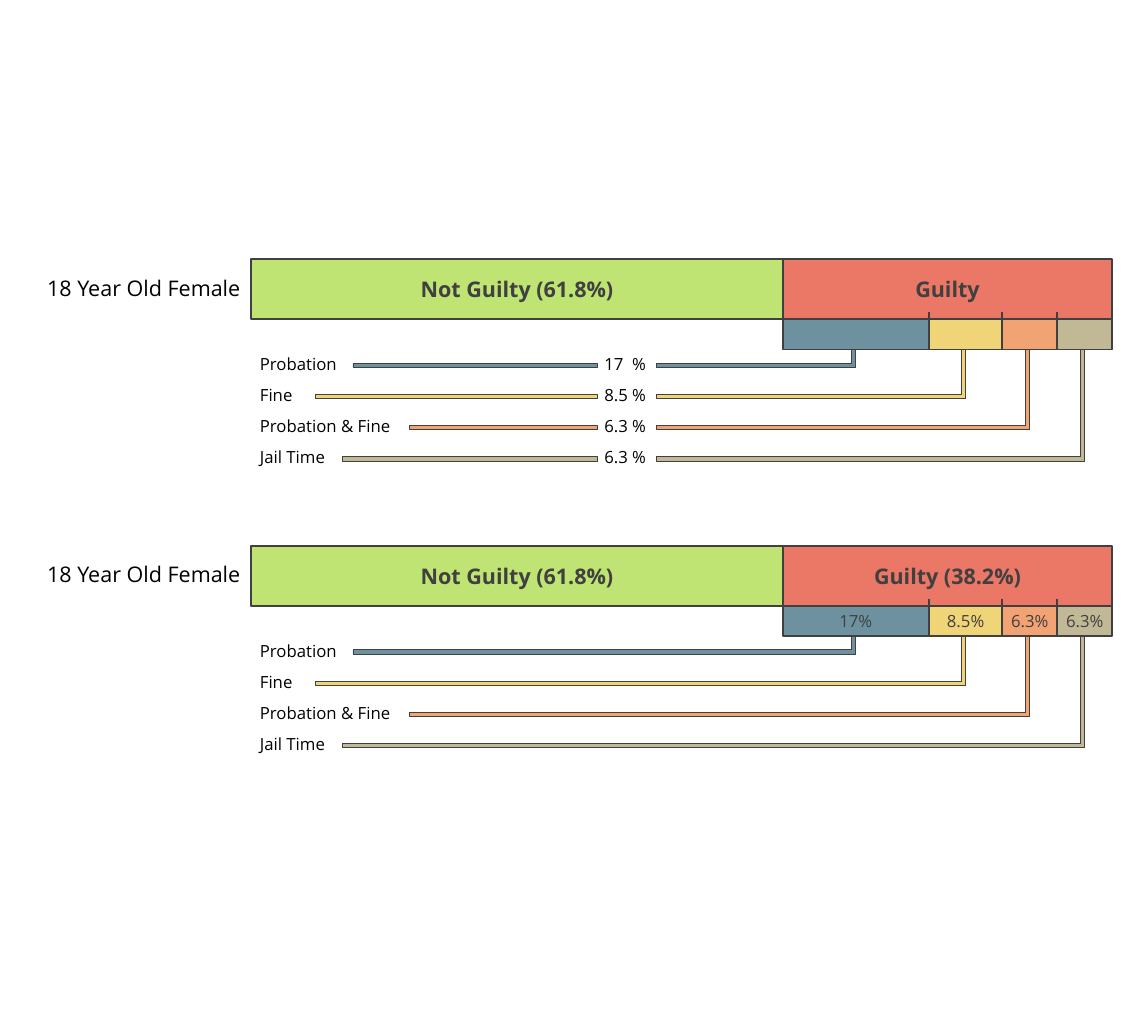
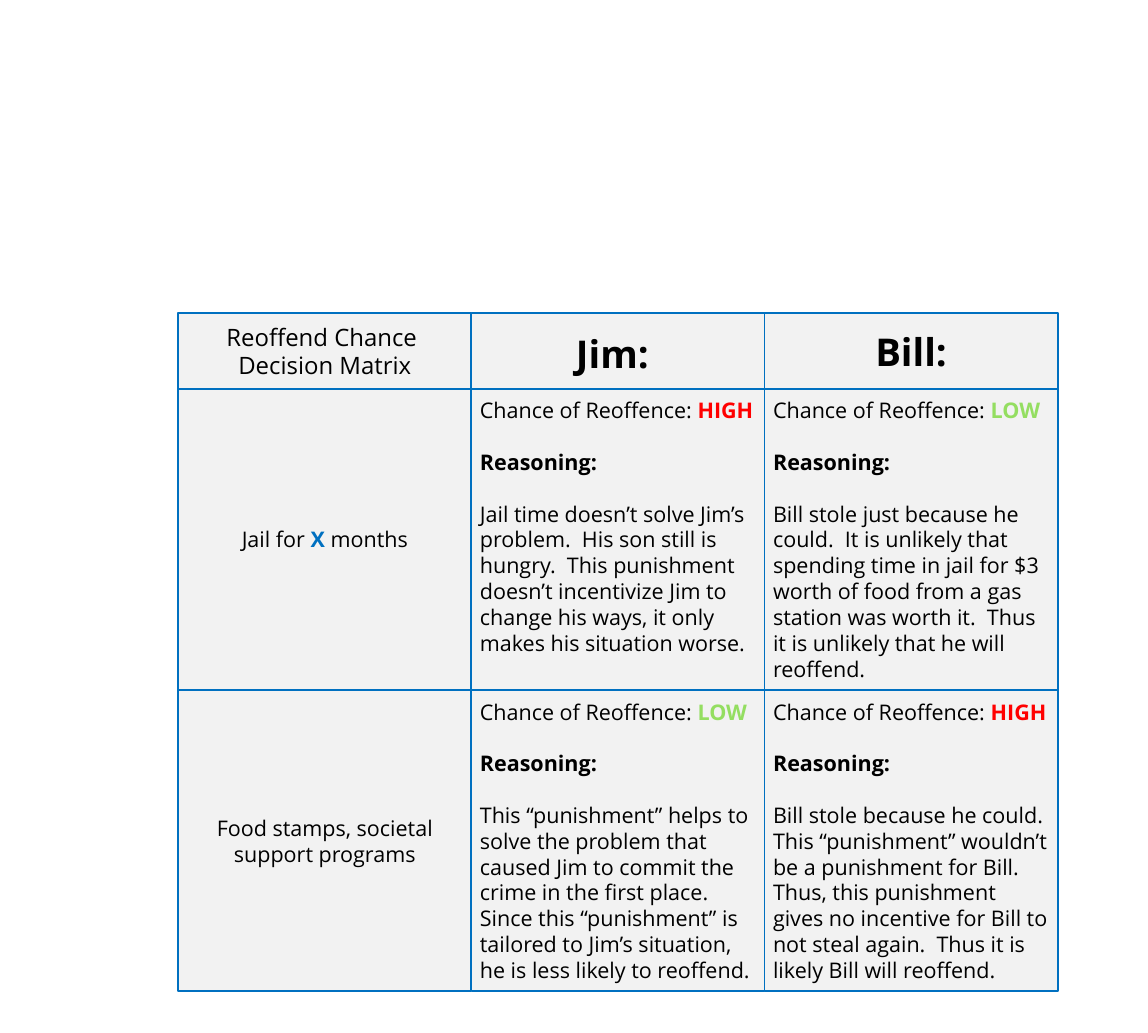
"""Two slides: verdict bars with their sentences, and a reoffence matrix."""
from dataclasses import dataclass
from itertools import accumulate

from lxml import etree
from pptx import Presentation
from pptx import util as u
from pptx.dml.color import RGBColor
from pptx.enum import shapes, text
from pptx.oxml.ns import qn

# The slide is a grid of cells, each a tenth of an inch.
CELL = u.Inches(0.1)
COLUMNS, ROWS = 133.33, 120
FONT = "Open Sans"
LINE_HEIGHT = 1.2  # line height as a share of the text size

BLACK = RGBColor(0x00, 0x00, 0x00)
CHARCOAL = RGBColor(0x40, 0x40, 0x40)
GREEN = RGBColor(0xC0, 0xE4, 0x74)
CORAL = RGBColor(0xEB, 0x77, 0x66)
SLATE = RGBColor(0x6E, 0x91, 0xA0)
YELLOW = RGBColor(0xF0, 0xD5, 0x78)
ORANGE = RGBColor(0xF1, 0xA3, 0x74)
KHAKI = RGBColor(0xC1, 0xB9, 0x95)
PALE_GREY = RGBColor(0xF2, 0xF2, 0xF2)
BLUE = RGBColor(0x00, 0x70, 0xC0)
RED = RGBColor(0xFF, 0x00, 0x00)
LIME = RGBColor(0x94, 0xDE, 0x61)

CENTER = text.PP_ALIGN.CENTER
LEFT = text.PP_ALIGN.LEFT


@dataclass(frozen=True)
class Sentence:
    """One part of the guilty verdicts; arm_start is where its line begins."""
    name: str
    percent: str
    columns: float
    arm_start: float
    colour: RGBColor


@dataclass(frozen=True)
class VerdictBar:
    """A bar with its sentences; percents stand in the lines or the segments."""
    top: float
    guilty: str
    percent_in_line: bool


@dataclass(frozen=True)
class Outcome:
    """One assessed cell of the matrix."""
    column: int
    row: int
    chance: str
    reasoning: str


SENTENCES = (
    Sentence("Probation", "17", 17, 41, SLATE),
    Sentence("Fine", "8.5", 8.5, 36.6, YELLOW),
    Sentence("Probation & Fine", "6.3", 6.4, 47.6, ORANGE),
    Sentence("Jail Time", "6.3", 6.4, 39.8, KHAKI),
)
VERDICT_BARS = (
    VerdictBar(30.1, "Guilty", True),
    VerdictBar(63.4, "Guilty (38.2%)", False),
)
BAR_LEFT, BAR_HEIGHT = 29.2, 7
NOT_GUILTY_COLUMNS, GUILTY_COLUMNS = 61.7, 38.3
GUILTY_LEFT = BAR_LEFT + NOT_GUILTY_COLUMNS
SEGMENT_HEIGHT = 3.5
SENTENCE_PITCH = 3.62
ARM_THICKNESS = 0.5
PERCENT_GAP = (69.4, 76.2)

MATRIX_LEFT, MATRIX_TOP = 20.7, 36.4
MATRIX_COLUMN, HEADER_ROW, BODY_ROW = 34.05, 8.75, 35
CHANCE_COLOURS = {"HIGH": RED, "LOW": LIME}
OUTCOMES = (
    Outcome(1, 1, "HIGH", "Jail time doesn’t solve Jim’s problem.  His son still is "
            "hungry.  This punishment doesn’t incentivize Jim to change his ways, "
            "it only makes his situation worse."),
    Outcome(2, 1, "LOW", "Bill stole just because he could.  It is unlikely that "
            "spending time in jail for $3 worth of food from a gas station was worth "
            "it.  Thus it is unlikely that he will reoffend."),
    Outcome(1, 2, "LOW", "This “punishment” helps to solve the problem that caused Jim "
            "to commit the crime in the first place.  Since this “punishment” is "
            "tailored to Jim’s situation, he is less likely to reoffend."),
    Outcome(2, 2, "HIGH", "Bill stole because he could.  This “punishment” wouldn’t be "
            "a punishment for Bill.  Thus, this punishment gives no incentive for "
            "Bill to not steal again.  Thus it is likely Bill will reoffend."),
)


def cells(count: float) -> int:
    """Turn a number of grid cells into a length."""
    return round(count * CELL)


def write(paragraph, content: str, *, size: float = 18, colour: RGBColor = BLACK,
          bold: bool = False, align=CENTER) -> None:
    """Append formatted text to a paragraph; a newline is a line break."""
    paragraph.alignment = align
    for index, line in enumerate(content.split("\n")):
        if index:
            paragraph.add_line_break()
        run = paragraph.add_run()
        run.text = line
        run.font.name = FONT
        run.font.size = u.Pt(size)
        run.font.bold = bold
        run.font.color.rgb = colour


def add_box(canvas, left: float, top: float, width: float, height: float,
            fill: RGBColor, *, line: RGBColor = CHARCOAL, weight: float = 1.5):
    """Draw an outlined rectangle and return it."""
    shape = canvas.add_shape(shapes.MSO_SHAPE.RECTANGLE, cells(left), cells(top),
                             cells(width), cells(height))
    shape.shadow.inherit = False
    shape.fill.solid()
    shape.fill.fore_color.rgb = fill
    shape.line.color.rgb = line
    shape.line.width = u.Pt(weight)
    shape.text_frame.word_wrap = True
    shape.text_frame.vertical_anchor = text.MSO_ANCHOR.MIDDLE
    return shape


def add_label(canvas, left: float, top: float, width: float, height: float):
    """Add a text box and return its first paragraph."""
    frame = canvas.add_textbox(cells(left), cells(top), cells(width),
                               cells(height)).text_frame
    frame.word_wrap = True
    frame.auto_size = text.MSO_AUTO_SIZE.SHAPE_TO_FIT_TEXT
    return frame.paragraphs[0]


def add_upright(canvas, x: float, top: float, colour: RGBColor, weight: float) -> None:
    """Draw a short vertical line."""
    line = canvas.add_connector(shapes.MSO_CONNECTOR.STRAIGHT, cells(x), cells(top),
                                cells(x), cells(top + 1.5))
    line.line.color.rgb = colour
    line.line.width = u.Pt(weight)
    etree.SubElement(line._element.spPr, qn("a:effectLst"))


def set_tab_stop(paragraph, distance: float) -> None:
    """Give a paragraph a single left tab stop."""
    stops = etree.SubElement(paragraph._p.get_or_add_pPr(), qn("a:tabLst"))
    etree.SubElement(stops, qn("a:tab"), pos=str(cells(distance)), algn="l")


def draw_verdict_bar(slide, bar: VerdictBar) -> None:
    """Draw one verdict bar with its segments, labels and leader lines."""
    canvas = slide.shapes.add_group_shape().shapes
    for left, width, fill, verdict in (
            (BAR_LEFT, NOT_GUILTY_COLUMNS, GREEN, "Not Guilty (61.8%)"),
            (GUILTY_LEFT, GUILTY_COLUMNS, CORAL, bar.guilty)):
        box = add_box(canvas, left, bar.top, width, BAR_HEIGHT, fill)
        write(box.text_frame.paragraphs[0], verdict, colour=CHARCOAL, bold=True)

    ends = list(accumulate((s.columns for s in SENTENCES), initial=GUILTY_LEFT))
    middles = [left + s.columns / 2 for left, s in zip(ends, SENTENCES)]
    arm_tops = [bar.top + 12.1 + row * SENTENCE_PITCH for row in range(len(SENTENCES))]
    placed = list(zip(SENTENCES, ends, middles, arm_tops))
    segment_top = bar.top + BAR_HEIGHT
    post_top = bar.top + 8.9

    for sentence, _, middle, arm_top in placed:
        add_box(canvas, middle - ARM_THICKNESS, post_top, ARM_THICKNESS,
                arm_top + ARM_THICKNESS - post_top, sentence.colour, weight=0.75)
    for sentence, left, _, _ in placed:
        segment = add_box(canvas, left, segment_top, sentence.columns, SEGMENT_HEIGHT,
                          sentence.colour)
        if not bar.percent_in_line:
            frame = segment.text_frame
            frame.margin_left = frame.margin_right = 0
            write(frame.paragraphs[0], sentence.percent + "%", size=14, colour=CHARCOAL)
    for sentence, _, middle, arm_top in placed:
        label = add_label(canvas, BAR_LEFT, arm_top - 1.6, NOT_GUILTY_COLUMNS, 3.4)
        content, spans = sentence.name, [(sentence.arm_start, middle)]
        if bar.percent_in_line:
            gap_start, gap_end = PERCENT_GAP
            spans = [(sentence.arm_start, gap_start), (gap_end, middle)]
            set_tab_stop(label, 40)
            content += "\t" + sentence.percent.ljust(3) + " %"
            if "." not in sentence.percent:
                content = sentence.name + "\t" + sentence.percent + "  %"
        write(label, content, size=14, align=LEFT)
        for start, end in spans:
            add_box(canvas, start, arm_top, end - start, ARM_THICKNESS,
                    sentence.colour, weight=0.75)
        add_upright(canvas, middle - ARM_THICKNESS / 2, arm_top - 1.3,
                    sentence.colour, 2.75)
    for edge in ends[1:-1]:
        add_upright(canvas, edge, segment_top - 0.8, CHARCOAL, 1.5)
    write(add_label(canvas, 3.7, bar.top + 1.3, 26, 4), "18 Year Old Female")


def add_matrix_cell(slide, column: int, row: int):
    """Draw one matrix cell and return its text frame."""
    top = MATRIX_TOP if row == 0 else MATRIX_TOP + HEADER_ROW + (row - 1) * BODY_ROW
    height = BODY_ROW if row else HEADER_ROW
    box = add_box(slide.shapes, MATRIX_LEFT + column * MATRIX_COLUMN, top,
                  MATRIX_COLUMN, height, PALE_GREY, line=BLUE)
    return box.text_frame


def draw_outcome(slide, outcome: Outcome) -> None:
    """Fill a matrix cell with the chance of reoffence and the reasoning."""
    frame = add_matrix_cell(slide, outcome.column, outcome.row)
    frame.vertical_anchor = text.MSO_ANCHOR.TOP
    frame.margin_top = cells(1)
    chance = frame.paragraphs[0]
    write(chance, "Chance of Reoffence: ", align=LEFT)
    write(chance, outcome.chance, colour=CHANCE_COLOURS[outcome.chance], bold=True,
          align=LEFT)
    for content, bold in (("Reasoning:", True), (outcome.reasoning, False)):
        paragraph = frame.add_paragraph()
        paragraph.space_before = u.Pt(18 * LINE_HEIGHT)
        write(paragraph, content, bold=bold, align=LEFT)


def draw_matrix(slide) -> None:
    """Draw the headings, the measures and the outcomes."""
    corner, jim, bill = (add_matrix_cell(slide, column, 0).paragraphs[0]
                         for column in range(3))
    write(corner, "Reoffend Chance \nDecision Matrix", size=20)
    write(jim, "Jim:", size=32, bold=True)
    write(jim, " ", size=36)
    write(bill, "Bill:", size=32, bold=True)
    jail, support = (add_matrix_cell(slide, 0, row).paragraphs[0] for row in (1, 2))
    write(jail, "Jail for ")
    write(jail, "X ", colour=BLUE, bold=True)
    write(jail, "months")
    write(support, "Food stamps, societal support programs")
    for outcome in OUTCOMES:
        draw_outcome(slide, outcome)


def main() -> None:
    """Build and save the presentation."""
    presentation = Presentation()
    presentation.slide_width = cells(COLUMNS)
    presentation.slide_height = cells(ROWS)
    blank = presentation.slide_layouts[6]
    verdicts = presentation.slides.add_slide(blank)
    for bar in VERDICT_BARS:
        draw_verdict_bar(verdicts, bar)
    draw_matrix(presentation.slides.add_slide(blank))
    presentation.save("out.pptx")


main()
